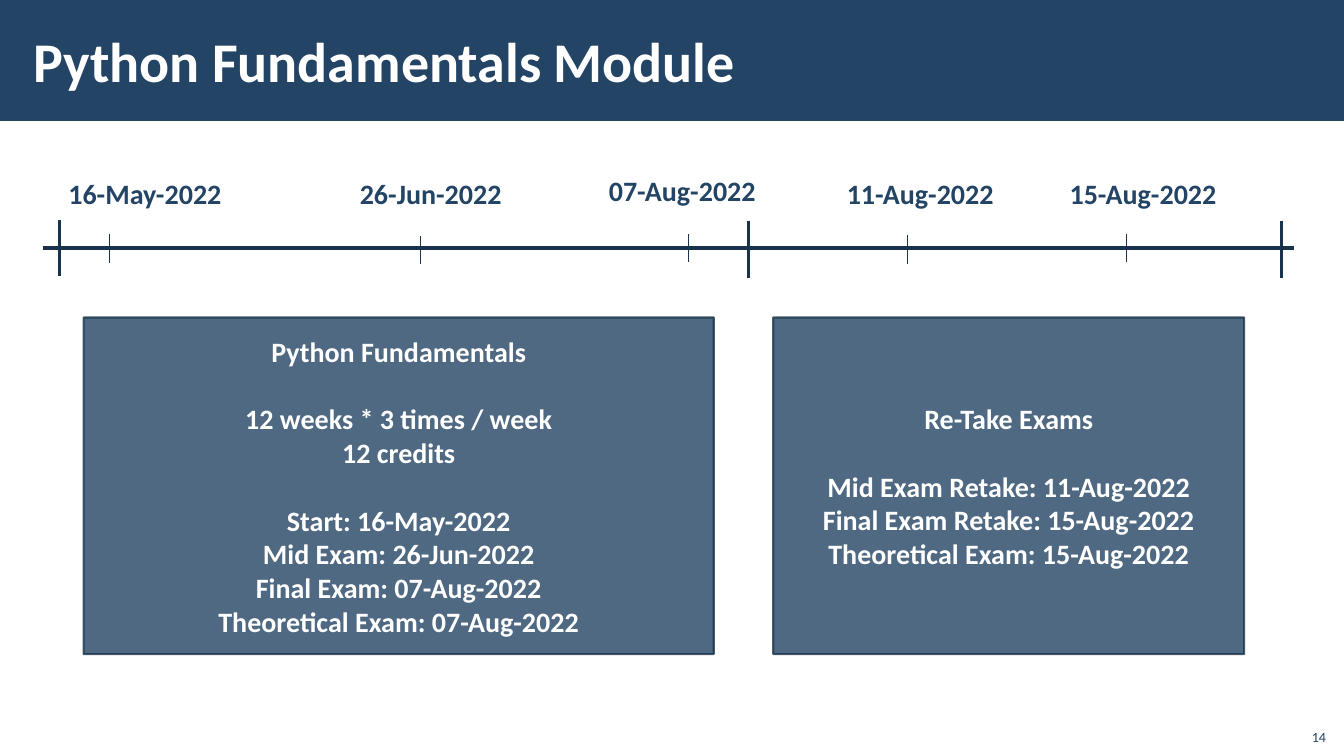
from dataclasses import dataclass

from lxml import etree
from pptx import Presentation
from pptx.dml.color import RGBColor
from pptx.enum import shapes, text
from pptx.oxml import ns
from pptx.util import Inches, Pt

NAVY, DARK, WHITE = "234465", "1A334C", "FFFFFF"
FONT = "Calibri"
AXIS_Y = 2.46
LINE_GAP = 24.4  # one 20 pt line, in points


@dataclass
class Label:
    words: str
    left: float
    top: float
    width: float
    height: float
    format: dict


@dataclass
class Tick:
    x: float
    top: float
    bottom: float
    weight: float


@dataclass
class Panel:
    left: float
    width: float
    groups: list[list[str]]


DATE = {"size": Pt(20), "bold": True}
TITLE = {"size": Pt(40), "bold": True}
NUMBER = {"size": Pt(10), "bold": False}

DATES = [
    Label("16-May-2022", 0.58, 1.7, 1.74, 0.44, DATE),
    Label("26-Jun-2022", 3.47, 1.7, 1.62, 0.44, DATE),
    Label("07-Aug-2022", 5.94, 1.67, 1.68, 0.44, DATE),
    Label("11-Aug-2022", 8.3, 1.7, 1.68, 0.44, DATE),
    Label("15-Aug-2022", 10.51, 1.7, 1.68, 0.44, DATE),
]

TICKS = [
    Tick(0.59, 2.18, 2.74, 2.25),
    Tick(7.42, 2.19, 2.76, 2.25),
    Tick(12.71, 2.19, 2.76, 2.25),
    Tick(1.08, 2.32, 2.61, 0.5),
    Tick(4.17, 2.34, 2.62, 0.5),
    Tick(6.83, 2.32, 2.6, 0.5),
    Tick(9, 2.33, 2.62, 0.5),
    Tick(11.17, 2.32, 2.6, 0.5),
]

PANELS = [
    Panel(0.83, 6.25, [
        ["Python Fundamentals"],
        ["12 weeks * 3 times / week", "12 credits"],
        ["Start: 16-May-2022", "Mid Exam: 26-Jun-2022",
         "Final Exam: 07-Aug-2022", "Theoretical Exam: 07-Aug-2022"],
    ]),
    Panel(7.67, 4.67, [
        ["Re-Take Exams"],
        ["Mid Exam Retake: 11-Aug-2022", "Final Exam Retake: 15-Aug-2022",
         "Theoretical Exam: 15-Aug-2022"],
    ]),
]


def color(value: str) -> RGBColor:
    return RGBColor.from_string(value)


def write(para, words: str, ink: str, format: dict) -> None:
    span = para.add_run()
    span.text = words
    span.font.color.rgb = color(ink)
    for name, value in {"name": FONT, **format}.items():
        setattr(span.font, name, value)


def add_label(page, label: Label, ink: str = NAVY, **frame_format) -> object:
    """Add a one-line text box and return its paragraph."""
    box = page.shapes.add_textbox(*map(Inches, (label.left, label.top, label.width, label.height)))
    for name, value in {"word_wrap": False, **frame_format}.items():
        setattr(box.text_frame, name, value)
    para = box.text_frame.paragraphs[0]
    write(para, label.words, ink, label.format)
    return para


def add_line(page, start: tuple, end: tuple, weight: float) -> None:
    line = page.shapes.add_connector(shapes.MSO_CONNECTOR.STRAIGHT, *map(Inches, start + end))
    line.line.color.rgb = color(DARK)
    line.line.width = Pt(weight)
    etree.SubElement(line._element.spPr, ns.qn("a:effectLst"))


def add_rectangle(page, left: float, top: float, width: float, height: float):
    box = page.shapes.add_shape(
        shapes.MSO_SHAPE.RECTANGLE, *map(Inches, (left, top, width, height)))
    box.shadow.inherit = False
    box.fill.solid()
    box.fill.fore_color.rgb = color(NAVY)
    return box


def add_panel(page, panel: Panel) -> None:
    box = add_rectangle(page, panel.left, 3.15, panel.width, 3.34)
    box.line.color.rgb = color(DARK)
    box.line.width = Pt(1.5)
    for ink in box._element.spPr.iter(ns.qn("a:srgbClr")):
        etree.SubElement(ink, ns.qn("a:alpha"), val="80000")
    frame = box.text_frame
    frame.word_wrap = True
    frame.vertical_anchor = text.MSO_ANCHOR.MIDDLE
    para = frame.paragraphs[0]
    for group_index, group in enumerate(panel.groups):
        for line_index, words in enumerate(group):
            if group_index or line_index:
                para = frame.add_paragraph()
            para.alignment = text.PP_ALIGN.CENTER
            if group_index and not line_index:
                para.space_before = Pt(LINE_GAP)
            write(para, words, WHITE, DATE)


def main() -> None:
    deck = Presentation()
    deck.slide_width, deck.slide_height = Inches(13.33), Inches(7.5)
    page = deck.slides.add_slide(deck.slide_layouts[6])

    add_rectangle(page, 0, 0, 13.33, 1.2).line.fill.background()
    add_label(page, Label("Python Fundamentals Module", 0.21, 0.11, 10.63, 0.97, TITLE), WHITE,
              word_wrap=True, vertical_anchor=text.MSO_ANCHOR.MIDDLE,
              margin_left=Inches(0.12), margin_right=Inches(0.12),
              margin_top=Inches(0.04), margin_bottom=Inches(0.04))
    number = add_label(page, Label("14", 12.85, 7.12, 0.4, 0.32, NUMBER),
                       word_wrap=True, vertical_anchor=text.MSO_ANCHOR.BOTTOM)
    number.alignment = text.PP_ALIGN.RIGHT

    add_line(page, (0.43, AXIS_Y), (12.83, AXIS_Y), 2.25)
    for tick in TICKS:
        add_line(page, (tick.x, tick.top), (tick.x, tick.bottom), tick.weight)
    for date in DATES:
        add_label(page, date)
    for panel in PANELS:
        add_panel(page, panel)

    deck.save("out.pptx")


if __name__ == "__main__":
    main()
